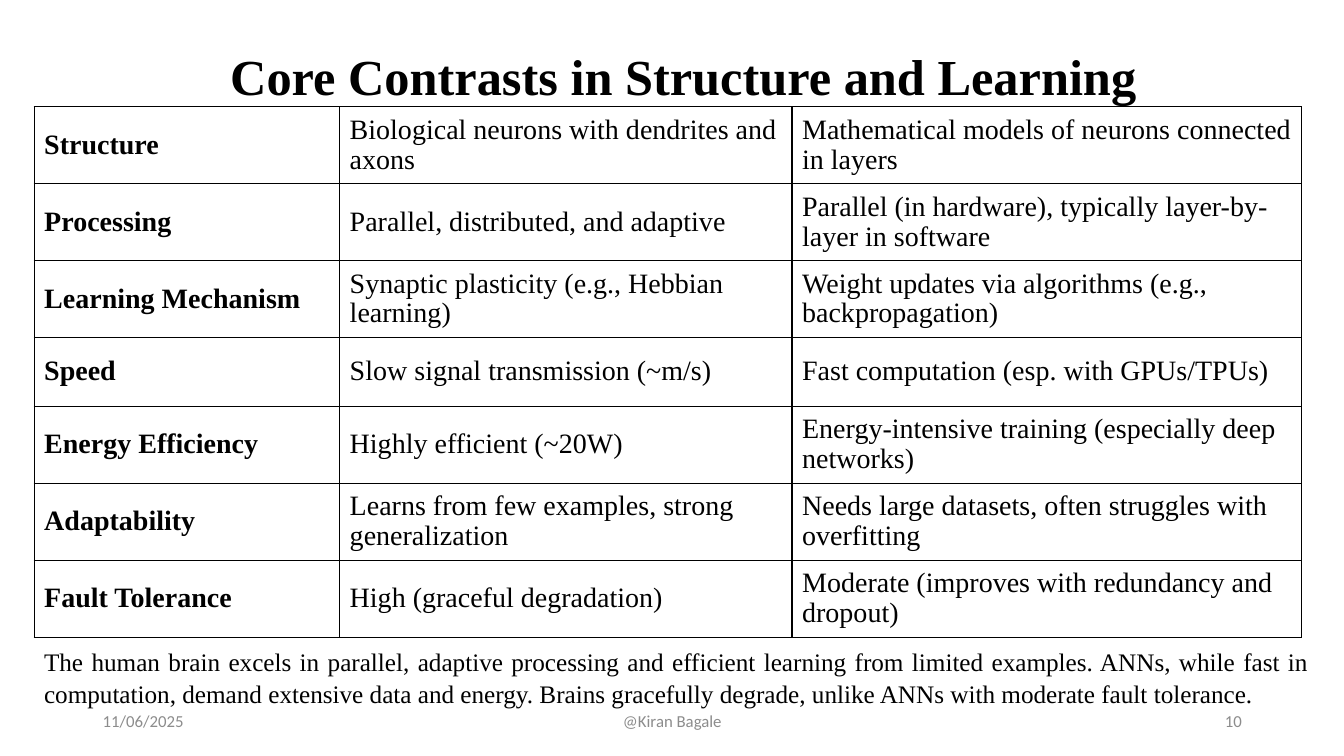
import pptx
import pptx.util
import pptx.dml.color
import pptx.enum.text
import lxml.etree
import pptx.oxml.ns

Cm = pptx.util.Cm
Pt = pptx.util.Pt
ALIGN = pptx.enum.text.PP_ALIGN
ANCHOR = pptx.enum.text.MSO_ANCHOR
COLORS = {"text": "000000", "footer": "8C8C8C", "border": "000000"}
SERIF = "Times New Roman"
ROWS = [
    ("Structure", "Biological neurons with dendrites and axons",
     "Mathematical models of neurons connected in layers"),
    ("Processing", "Parallel, distributed, and adaptive",
     "Parallel (in hardware), typically layer-by-layer in software"),
    ("Learning Mechanism", "Synaptic plasticity (e.g., Hebbian learning)",
     "Weight updates via algorithms (e.g., backpropagation)"),
    ("Speed", "Slow signal transmission (~m/s)",
     "Fast computation (esp. with GPUs/TPUs)"),
    ("Energy Efficiency", "Highly efficient (~20W)",
     "Energy-intensive training (especially deep networks)"),
    ("Adaptability", "Learns from few examples, strong generalization",
     "Needs large datasets, often struggles with overfitting"),
    ("Fault Tolerance", "High (graceful degradation)",
     "Moderate (improves with redundancy and dropout)"),
]
SUMMARY = ("The human brain excels in parallel, adaptive processing and efficient "
           "learning from limited examples. ANNs, while fast in computation, demand "
           "extensive data and energy. Brains gracefully degrade, unlike ANNs with "
           "moderate fault tolerance.")


def write(tf, text, size, font=SERIF, color="text", bold=False,
          align=ALIGN.LEFT, spacing=1.0):
    """Put one formatted paragraph into a text frame."""
    tf.text = text
    tf.word_wrap = True
    p = tf.paragraphs[0]
    p.alignment = align
    p.line_spacing = spacing
    for r in p.runs:
        r.font.size = Pt(size)
        r.font.name = font
        r.font.bold = bold
        r.font.color.rgb = pptx.dml.color.RGBColor.from_string(COLORS[color])
    return p


def add_title(s, x, y, w, h):
    """Place the slide title in its placeholder."""
    sp = s.shapes.title
    sp.left, sp.top, sp.width, sp.height = Cm(x), Cm(y), Cm(w), Cm(h)
    tf = sp.text_frame
    tf.vertical_anchor = ANCHOR.TOP
    write(tf, "Core Contrasts in Structure and Learning", 36, bold=True,
          align=ALIGN.CENTER, spacing=1.07)


def add_borders(cell):
    """Draw a thin line on all four sides of a cell."""
    tc_pr = cell._tc.get_or_add_tcPr()
    qn = pptx.oxml.ns.qn
    for side in ("lnL", "lnR", "lnT", "lnB"):
        ln = lxml.etree.SubElement(tc_pr, qn(f"a:{side}"), w=str(Pt(1)))
        fill = lxml.etree.SubElement(ln, qn("a:solidFill"))
        lxml.etree.SubElement(fill, qn("a:srgbClr"), val=COLORS["border"])


def add_contrasts(s, x, y, w, h):
    """Place the table comparing brains with artificial networks."""
    widths = (7.7, 11.4, w - 19.1)
    single = 1.73
    double = (h - single) / (len(ROWS) - 1)
    table = s.shapes.add_table(len(ROWS), len(widths),
                               Cm(x), Cm(y), Cm(w), Cm(h)).table
    table.first_row = table.horz_banding = False
    for col, width in zip(table.columns, widths):
        col.width = Cm(width)
    for i, texts in enumerate(ROWS):
        table.rows[i].height = Cm(single if texts[0] == "Speed" else double)
        for j, text in enumerate(texts):
            cell = table.cell(i, j)
            cell.vertical_anchor = ANCHOR.MIDDLE
            add_borders(cell)
            cell.fill.background()
            p = write(cell.text_frame, text, 20, bold=j == 0, spacing=0.96)
            p.space_after = Pt(3)


def add_summary(s, x, y, w, h):
    """Place the justified summary under the table."""
    tf = s.shapes.add_textbox(Cm(x), Cm(y), Cm(w), Cm(h)).text_frame
    write(tf, SUMMARY, 18, align=ALIGN.JUSTIFY, spacing=1.07)


def add_footer(s, x, y, w, h):
    """Place the date, author and slide number along the bottom."""
    side, middle = 7.62, 11.43
    parts = [
        ("11/06/2025", x, side, ALIGN.LEFT),
        ("@Kiran Bagale", x + (w - middle) / 2, middle, ALIGN.CENTER),
        ("10", x + w - side, side, ALIGN.RIGHT),
    ]
    for text, left, width, align in parts:
        tf = s.shapes.add_textbox(Cm(left), Cm(y), Cm(width), Cm(h)).text_frame
        tf.vertical_anchor = ANCHOR.MIDDLE
        write(tf, text, 12, font="Calibri", color="footer", align=align)


def main():
    """Build the slide and save it."""
    prs = pptx.Presentation()
    prs.slide_width, prs.slide_height = Cm(33.87), Cm(19.05)
    s = prs.slides.add_slide(prs.slide_layouts[5])
    add_title(s, 3.66, 0.91, 27.13, 1.8)
    add_contrasts(s, 0.86, 2.69, 31.95, 13.37)
    add_summary(s, 0.86, 16.1, 32.39, 1.8)
    add_footer(s, 2.34, 17.65, 29.21, 1.01)
    prs.save("out.pptx")


if __name__ == "__main__":
    main()
